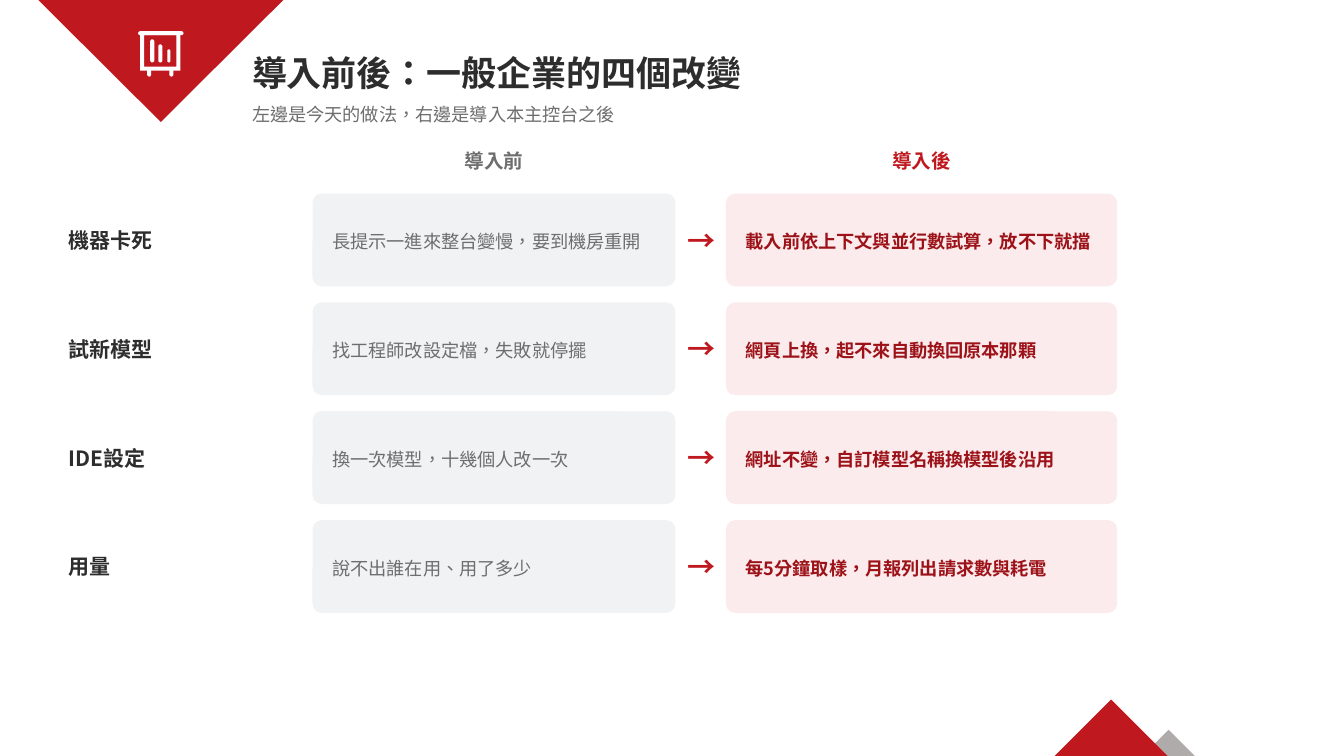
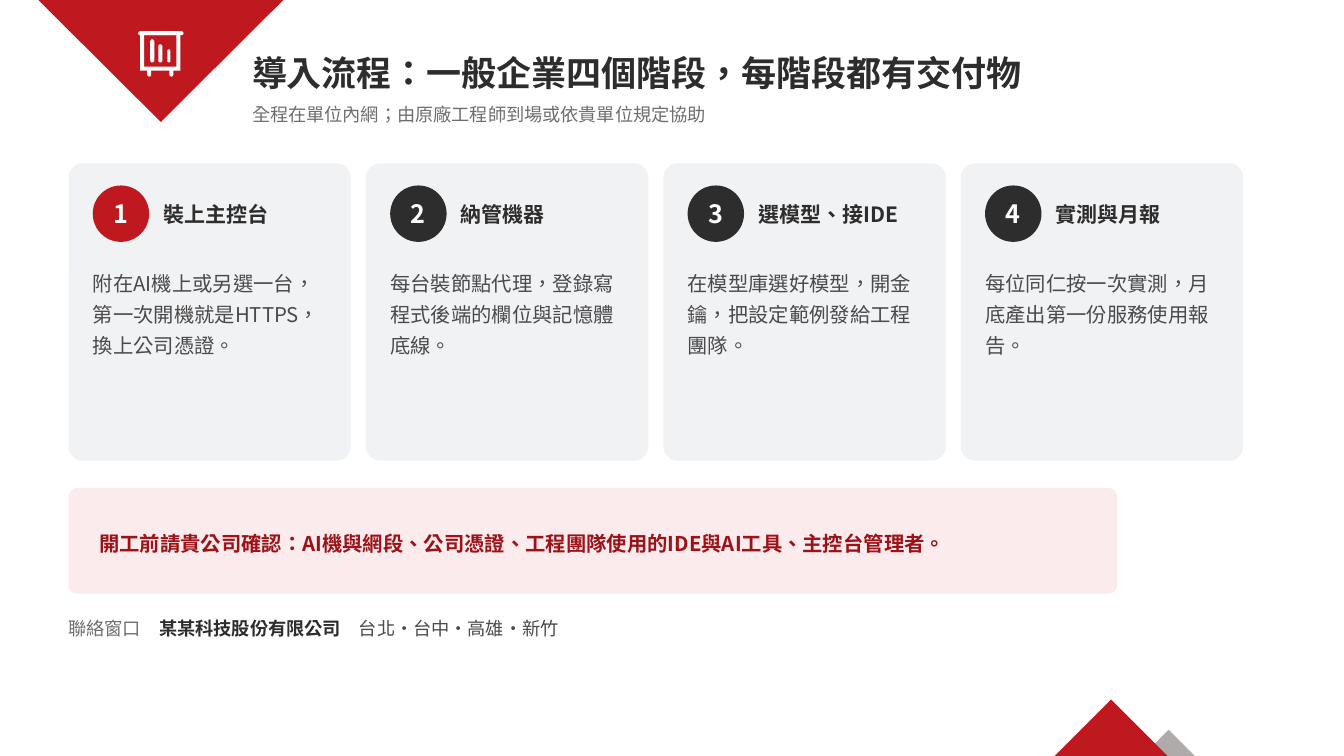
"""Builds two slides on adopting a model console: before and after, and the rollout stages."""
from pptx import Presentation
from pptx import util as u
from pptx.dml.color import RGBColor
from pptx.enum import shapes, text
from pptx.oxml import ns
from lxml import etree

FONT = "Noto Sans CJK TC"
COLORS = {
    "red": "BF181F", "dark_red": "9C1218", "pink": "FBEBEC",
    "ink": "2D2D2D", "body": "4A4A4A", "muted": "6E6E6E",
    "panel": "F1F2F4", "shade": "AFABAB", "white": "FFFFFF",
}
KIND = shapes.MSO_SHAPE
CENTER = text.PP_ALIGN.CENTER
TOP = text.MSO_ANCHOR.TOP
MIDDLE = text.MSO_ANCHOR.MIDDLE
LEFT = 0.68

CHANGES = [
    ("機器卡死", "長提示一進來整台變慢，要到機房重開", "載入前依上下文與並行數試算，放不下就擋"),
    ("試新模型", "找工程師改設定檔，失敗就停擺", "網頁上換，起不來自動換回原本那顆"),
    ("IDE設定", "換一次模型，十幾個人改一次", "網址不變，自訂模型名稱換模型後沿用"),
    ("用量", "說不出誰在用、用了多少", "每5分鐘取樣，月報列出請求數與耗電"),
]
STAGES = [
    ("裝上主控台", "附在AI機上或另選一台，第一次開機就是HTTPS，換上公司憑證。"),
    ("納管機器", "每台裝節點代理，登錄寫程式後端的欄位與記憶體底線。"),
    ("選模型、接IDE", "在模型庫選好模型，開金鑰，把設定範例發給工程團隊。"),
    ("實測與月報", "每位同仁按一次實測，月底產出第一份服務使用報告。"),
]


def rgb(name):
    return RGBColor.from_string(COLORS[name])


def add_span(para, words, size, color, bold):
    span = para.add_run()
    span.text = words
    font = span.font
    font.size, font.bold, font.name = u.Pt(size), bold, FONT
    font.color.rgb = rgb(color)
    properties = span._r.get_or_add_rPr()
    properties.set("lang", "zh-TW")
    latin = properties.find(ns.qn("a:latin"))
    east_asian = etree.Element(ns.qn("a:ea"), typeface=FONT)
    latin.addnext(east_asian)


def write(shape, content, *, size, color="ink", bold=False, align=text.PP_ALIGN.LEFT,
          anchor=MIDDLE, spacing=None, inset=0):
    """Fill a shape with one paragraph; content is a string or (words, color, bold) spans."""
    frame = shape.text_frame
    frame.word_wrap = True
    frame.vertical_anchor = anchor
    frame.margin_top = frame.margin_bottom = 0
    frame.margin_left = frame.margin_right = u.Inches(inset)
    para = frame.paragraphs[0]
    para.alignment = align
    if spacing:
        para.line_spacing = spacing
    spans = [(content, color, bold)] if isinstance(content, str) else content
    for words, span_color, span_bold in spans:
        add_span(para, words, size, span_color, span_bold)


def add_label(page, at, content, **style):
    box = page.shapes.add_textbox(*map(u.Inches, at))
    write(box, content, **style)


def add_block(page, kind, at, color, adjust=None):
    block = page.shapes.add_shape(kind, *map(u.Inches, at))
    block.shadow.inherit = False
    block.fill.solid()
    block.fill.fore_color.rgb = rgb(color)
    block.line.fill.background()
    if adjust is not None:
        block.adjustments[0] = adjust
    return block


def draw_board_icon(page):
    add_block(page, KIND.FRAME, (1.39, 0.31, 0.4, 0.39), "white", 0.1)
    strips = [
        (1.37, 0.31, 0.45, 0.04),
        (1.49, 0.39, 0.04, 0.23), (1.57, 0.44, 0.04, 0.18), (1.66, 0.49, 0.03, 0.13),
        (1.46, 0.68, 0.04, 0.08), (1.68, 0.68, 0.04, 0.08),
    ]
    for strip in strips:
        add_block(page, KIND.ROUNDED_RECTANGLE, strip, "white", 0.5)


def move_artwork_to_layout(page):
    """Draw the shared artwork and hand it over to the layout of the page."""
    triangle = KIND.ISOSCELES_TRIANGLE
    add_block(page, triangle, (11.33, 7.24, 0.52, 0.26), "shade")
    add_block(page, triangle, (0.38, 0, 2.43, 1.21), "red").rotation = 180
    add_block(page, triangle, (10.46, 6.94, 1.12, 0.56), "red")
    draw_board_icon(page)
    layout = page.slide_layout
    tree = layout.shapes.element
    for placeholder in list(layout.placeholders):
        tree.remove(placeholder.element)
    for shape in list(page.shapes):
        tree.append(shape.element)


def add_heading(page, title, subtitle):
    add_label(page, (2.5, 0.42, 10.2, 0.6), title, size=25, bold=True)
    add_label(page, (2.5, 1.02, 10.2, 0.32), subtitle, size=13, color="muted", anchor=TOP)


def add_change_row(page, top, topic, before, after):
    height = 0.92
    add_label(page, (LEFT, top, 2.3, height), topic, size=15, bold=True)
    cells = [
        (3.1, 3.6, "panel", before, "muted", False),
        (7.2, 3.88, "pink", after, "dark_red", True),
    ]
    for left, width, fill, words, color, bold in cells:
        cell = add_block(page, KIND.ROUNDED_RECTANGLE, (left, top, width, height), fill, 0.1)
        write(cell, words, size=13, color=color, bold=bold, spacing=1.15, inset=0.17)
    add_label(page, (6.76, top, 0.4, height), "→", size=20, color="red", bold=True, align=CENTER)


def add_stage_card(page, left, number, title, body):
    inner = left + 0.24
    add_block(page, KIND.ROUNDED_RECTANGLE, (left, 1.62, 2.8, 2.95), "panel", 0.05)
    badge = add_block(page, KIND.OVAL, (inner, 1.84, 0.56, 0.56), "red" if number == 1 else "ink")
    write(badge, str(number), size=18, color="white", bold=True, align=CENTER)
    add_label(page, (inner + 0.7, 1.84, 1.75, 0.56), title, size=15, bold=True)
    add_label(page, (inner, 2.62, 2.36, 1.85), body, size=14.5, color="body", anchor=TOP,
              spacing=1.28)


def build_changes(page):
    add_heading(page, "導入前後：一般企業的四個改變", "左邊是今天的做法，右邊是導入本主控台之後")
    columns = [(3.1, 3.6, "導入前", "muted"), (7.2, 3.88, "導入後", "red")]
    for left, width, words, color in columns:
        add_label(page, (left, 1.48, width, 0.36), words, size=14, color=color, bold=True,
                  align=CENTER, anchor=TOP)
    for index, change in enumerate(CHANGES):
        add_change_row(page, 1.92 + 1.08 * index, *change)


def build_stages(page):
    add_heading(page, "導入流程：一般企業四個階段，每階段都有交付物",
                "全程在單位內網；由原廠工程師到場或依貴單位規定協助")
    for index, (title, body) in enumerate(STAGES):
        add_stage_card(page, LEFT + 2.95 * index, index + 1, title, body)
    notice = add_block(page, KIND.ROUNDED_RECTANGLE, (LEFT, 4.84, 10.4, 1.05), "pink", 0.08)
    write(notice, "開工前請貴公司確認：AI機與網段、公司憑證、工程團隊使用的IDE與AI工具、主控台管理者。",
          size=14.5, color="dark_red", bold=True, spacing=1.2, inset=0.28)
    contact = [
        ("聯絡窗口　", "muted", False),
        ("某某科技股份有限公司", "ink", True),
        ("　台北・台中・高雄・新竹", "body", False),
    ]
    add_label(page, (LEFT, 6.12, 10.4, 0.4), contact, size=13, anchor=TOP)


def main():
    deck = Presentation()
    deck.slide_width, deck.slide_height = u.Inches(13.33), u.Inches(7.5)
    blank = deck.slide_layouts[6]
    changes, stages = (deck.slides.add_slide(blank) for _ in range(2))
    move_artwork_to_layout(changes)
    build_changes(changes)
    build_stages(stages)
    deck.save("out.pptx")


if __name__ == "__main__":
    main()
